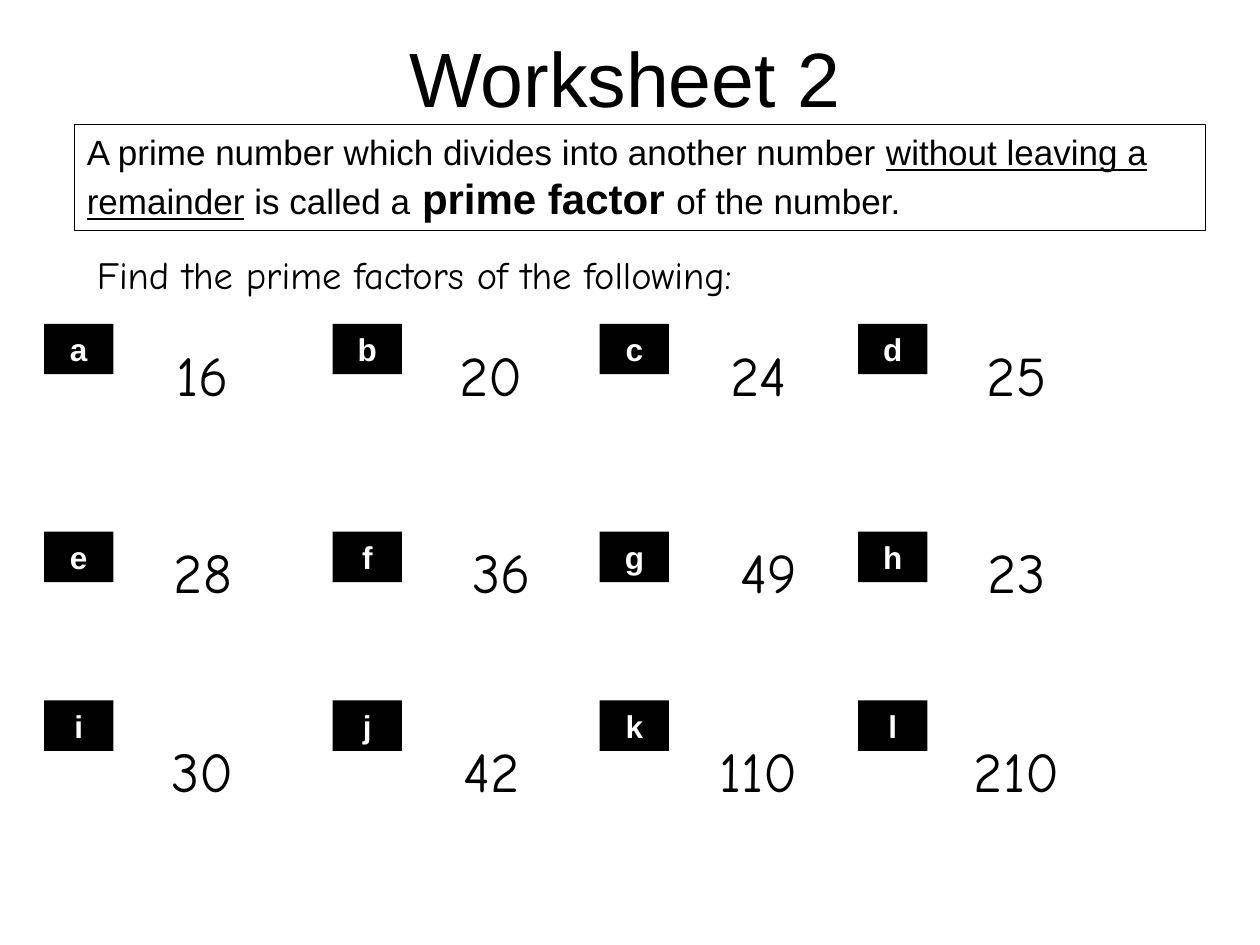
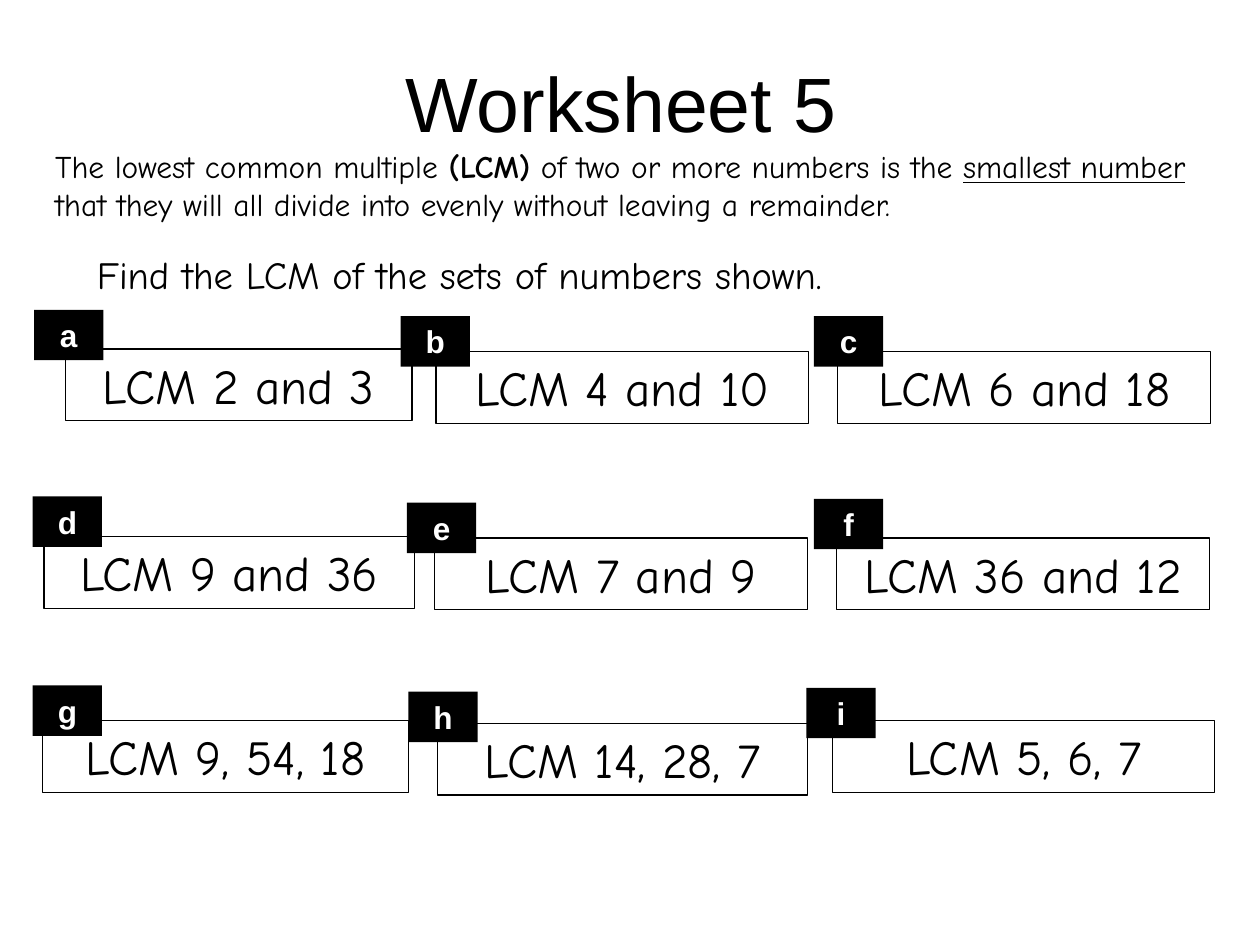
from pptx import Presentation
from pptx.dml.color import RGBColor
from pptx.enum.shapes import MSO_SHAPE
from pptx.enum.text import MSO_ANCHOR, MSO_AUTO_SIZE, PP_ALIGN
from pptx.util import Inches, Pt

RECT = MSO_SHAPE.RECTANGLE
TOP, MIDDLE = MSO_ANCHOR.TOP, MSO_ANCHOR.MIDDLE
GROW, FIXED = MSO_AUTO_SIZE.SHAPE_TO_FIT_TEXT, MSO_AUTO_SIZE.NONE
LEFT, CENTER = PP_ALIGN.LEFT, PP_ALIGN.CENTER
BLACK, WHITE = "000000", "FFFFFF"
SANS, HAND = "Arial", "Comic Neue"


def color(code):
    return RGBColor.from_string(code)


class Sheet:
    """Hold the worksheet style and the slide being drawn."""

    def __init__(self, deck):
        self.deck = deck
        self.slide = None

    def start(self):
        self.slide = self.deck.slides.add_slide(self.deck.slide_layouts[5])

    def label(self, frame, runs, ink, align, anchor, fit, style):
        frame.word_wrap = True
        frame.auto_size = fit
        frame.vertical_anchor = anchor
        line = frame.paragraphs[0]
        line.alignment = align
        for text, change in runs:
            run = line.add_run()
            run.text = text
            run.font.color.rgb = color(ink)
            for key, value in {**style, **change}.items():
                setattr(run.font, key, value)

    def box(self, place, runs, align=LEFT, fill=WHITE, ink=BLACK, edge=False, **style):
        shape = self.slide.shapes.add_shape(RECT, *map(Inches, place))
        shape.shadow.inherit = False
        if fill:
            shape.fill.solid()
            shape.fill.fore_color.rgb = color(fill)
        else:
            shape.fill.background()
        if edge:
            shape.line.color.rgb = color(BLACK)
            shape.line.width = Pt(0.75)
        else:
            shape.line.fill.background()
        self.label(shape.text_frame, runs, ink, align, TOP, GROW, style)

    def task(self, text, width):
        self.box((0.67, 1.94, width, 0.47), [(text, {})], size=Pt(22), name=HAND)

    def number(self, text, left, top):
        self.box((left, top, 1.1, 0.64), [(text, {})], CENTER, size=Pt(32), name=HAND)

    def problem(self, text, left, top, width):
        self.box((left, top, width, 0.57), [(text, {})], CENTER, edge=True,
                 size=Pt(28), name=HAND)

    def tag(self, text, left, top):
        self.box((left, top, 0.55, 0.4), [(text, {})], CENTER, BLACK, WHITE,
                 size=Pt(18), name=SANS, bold=True)

    def title(self, text, left, top):
        title = self.slide.shapes.title
        place = {"left": left, "top": top, "width": 8.5, "height": 1.61}
        for key, value in place.items():
            setattr(title, key, Inches(value))
        self.label(title.text_frame, [(text, {})], BLACK, CENTER, MIDDLE, FIXED,
                   {"size": Pt(44), "name": SANS})


def factors(sheet):
    sheet.start()
    sheet.title("Worksheet 2", 0.71, -0.2)
    sheet.task("Find the prime factors of the following:", 6.05)
    cols = [0.35, 2.64, 4.76, 6.81]
    rows = [
        (2.65, 2.57, ["16", "20", "24", "25"], "abcd"),
        (4.22, 4.22, ["28", "36", "49", "23"], "efgh"),
        (5.8, 5.56, ["30", "42", "110", "210"], "ijkl"),
    ]
    shift = {"36": 0.08, "49": 0.08}
    for top, high, values, letters in rows:
        for left, value, letter in zip(cols, values, letters):
            sheet.number(value, left + 0.71 + shift.get(value, 0), top)
            sheet.tag(letter, left, high)
    under = {"underline": True}
    large = {"size": Pt(24)}
    sheet.box((0.59, 0.99, 8.98, 0.84), [
        ("A prime number which divides into another number ", {}),
        ("without leaving a", under),
        (" ", {"size": Pt(18)}),
        ("remainder", under),
        (" is called a", {}),
        (" ", large),
        ("prime factor ", {**large, "bold": True}),
        ("of the number.", {}),
    ], fill=None, edge=True, size=Pt(20), name=SANS)


def multiples(sheet):
    sheet.start()
    sheet.title("Worksheet 5", 0.68, 0)
    sheet.task("Find the LCM of the sets of numbers shown.", 7.11)
    items = [
        ("2 and 3", 0.52, 2.77, 2.75, 0.27, 2.46),
        ("4 and 10", 3.46, 2.79, 2.96, 3.18, 2.51),
        ("6 and 18", 6.65, 2.79, 2.96, 6.46, 2.51),
        ("9 and 36", 0.35, 4.26, 2.94, 0.26, 3.94),
        ("7 and 9", 3.45, 4.27, 2.96, 3.23, 3.99),
        ("36 and 12", 6.64, 4.27, 2.96, 6.46, 3.96),
        ("9, 54, 18", 0.34, 5.72, 2.9, 0.26, 5.44),
        ("14, 28, 7", 3.47, 5.74, 2.94, 3.24, 5.49),
        ("5, 6, 7", 6.61, 5.72, 3.03, 6.4, 5.46),
    ]
    for text, left, top, width, *_ in items:
        sheet.problem(f"LCM {text}", left, top, width)
    sheet.box((0.34, 1.12, 9.34, 0.7), [
        ("The lowest common multiple ", {}),
        ("(LCM)", {"bold": True}),
        (" of two or more numbers is the ", {}),
        ("smallest number", {"underline": True}),
        (" that they will all divide into evenly without leaving a remainder.", {}),
    ], size=Pt(18), name=HAND)
    for letter, (*_, left, top) in zip("abcdefghi", items):
        sheet.tag(letter, left, top)


def main():
    deck = Presentation()
    deck.slide_width = Inches(10)
    deck.slide_height = Inches(7.5)
    sheet = Sheet(deck)
    factors(sheet)
    multiples(sheet)
    deck.save("out.pptx")


if __name__ == "__main__":
    main()
